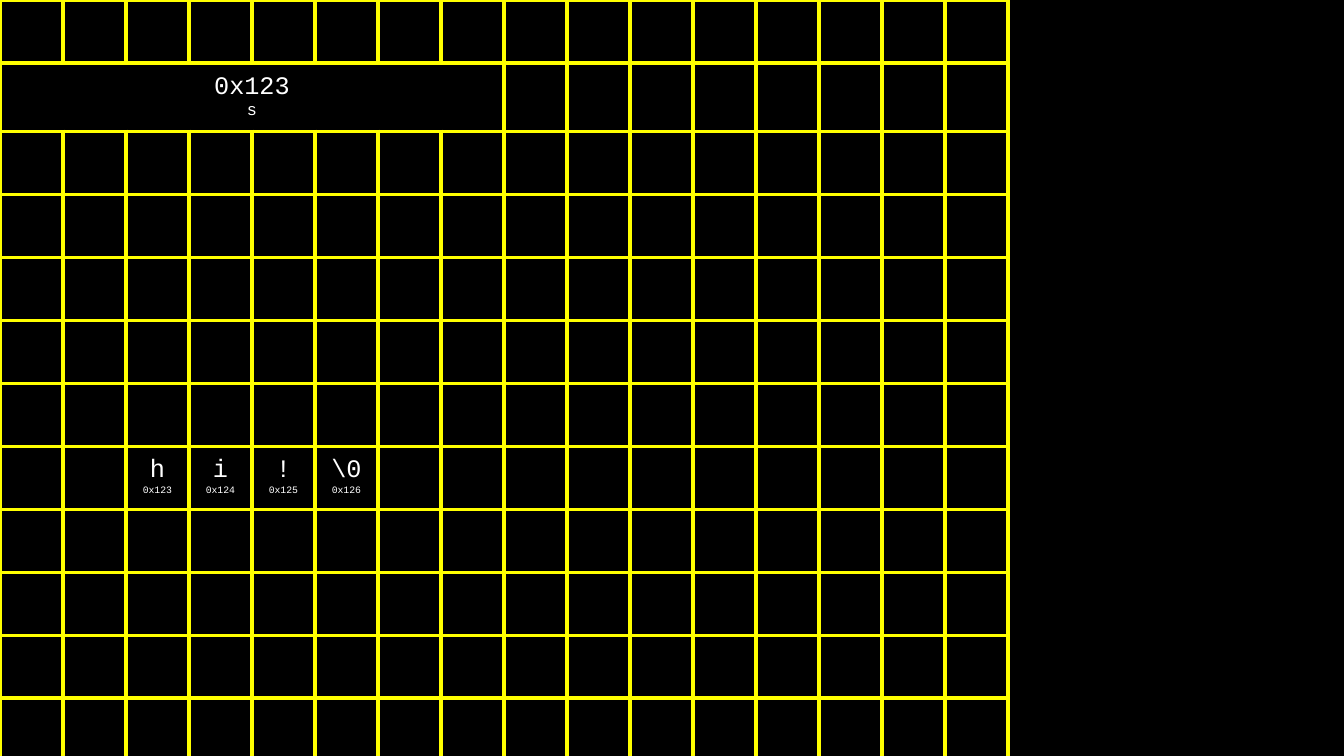
"""Build a slide showing a string pointer and its characters in a memory grid."""
from dataclasses import dataclass

from lxml import etree
from pptx import Presentation
from pptx import util as u
from pptx.dml.color import RGBColor
from pptx.enum import text
from pptx.oxml.ns import qn

BLACK = RGBColor(0x00, 0x00, 0x00)
WHITE = RGBColor(0xFF, 0xFF, 0xFF)
YELLOW = RGBColor(0xFF, 0xFF, 0x00)
FONT = "Courier New"
EMU_PER_PX = 9525
SLIDE_WIDTH, SLIDE_HEIGHT = 1280, 720
ROWS, COLUMNS = 12, 16
CELL_SIZE = 60
CELL_MARGIN = 10
BORDER_POINTS = 3
VALUE_POINTS = 18


@dataclass(frozen=True)
class Variable:
    value: str
    label: str
    row: int
    column: int
    label_points: int = 7
    span: int = 1


FIRST_ADDRESS = 0x123
POINTER = Variable(f"{FIRST_ADDRESS:#x}", "s", 1, 0, label_points=12, span=8)
CHARACTERS = [
    Variable(character, f"{FIRST_ADDRESS + index:#x}", 7, 2 + index)
    for index, character in enumerate(["h", "i", "!", r"\0"])
]


def px(length: int) -> u.Emu:
    return u.Emu(length * EMU_PER_PX)


def style_cell(cell) -> None:
    properties = cell._tc.get_or_add_tcPr()
    for side in ("a:lnL", "a:lnR", "a:lnT", "a:lnB"):
        line = etree.SubElement(properties, qn(side), w=str(u.Pt(BORDER_POINTS)))
        fill = etree.SubElement(line, qn("a:solidFill"))
        etree.SubElement(fill, qn("a:srgbClr"), val=str(YELLOW))
    cell.fill.background()
    cell.margin_left = cell.margin_right = px(CELL_MARGIN)
    cell.margin_top = cell.margin_bottom = px(CELL_MARGIN)
    cell.vertical_anchor = text.MSO_ANCHOR.TOP


def add_grid(slide):
    frame = slide.shapes.add_table(
        ROWS, COLUMNS, 0, 0, px(COLUMNS * CELL_SIZE), px(ROWS * CELL_SIZE)
    )
    table = frame.table
    table.first_row = False
    table.horz_banding = False
    for column in table.columns:
        column.width = px(CELL_SIZE)
    for row in table.rows:
        row.height = px(CELL_SIZE)
    for cell in table.iter_cells():
        style_cell(cell)
    return table


def write_variable(table, variable: Variable) -> None:
    cell = table.cell(variable.row, variable.column)
    if variable.span > 1:
        cell.merge(table.cell(variable.row, variable.column + variable.span - 1))
    cell.text_frame.text = f"{variable.value}\n{variable.label}"
    sizes = (VALUE_POINTS, variable.label_points)
    for paragraph, points in zip(cell.text_frame.paragraphs, sizes):
        paragraph.alignment = text.PP_ALIGN.CENTER
        for run in paragraph.runs:
            run.font.name = FONT
            run.font.size = u.Pt(points)
            run.font.color.rgb = WHITE


def main() -> None:
    presentation = Presentation()
    presentation.slide_width = px(SLIDE_WIDTH)
    presentation.slide_height = px(SLIDE_HEIGHT)
    slide = presentation.slides.add_slide(presentation.slide_layouts[6])
    slide.background.fill.solid()
    slide.background.fill.fore_color.rgb = BLACK
    table = add_grid(slide)
    for variable in [POINTER, *CHARACTERS]:
        write_variable(table, variable)
    presentation.save("out.pptx")


if __name__ == "__main__":
    main()
